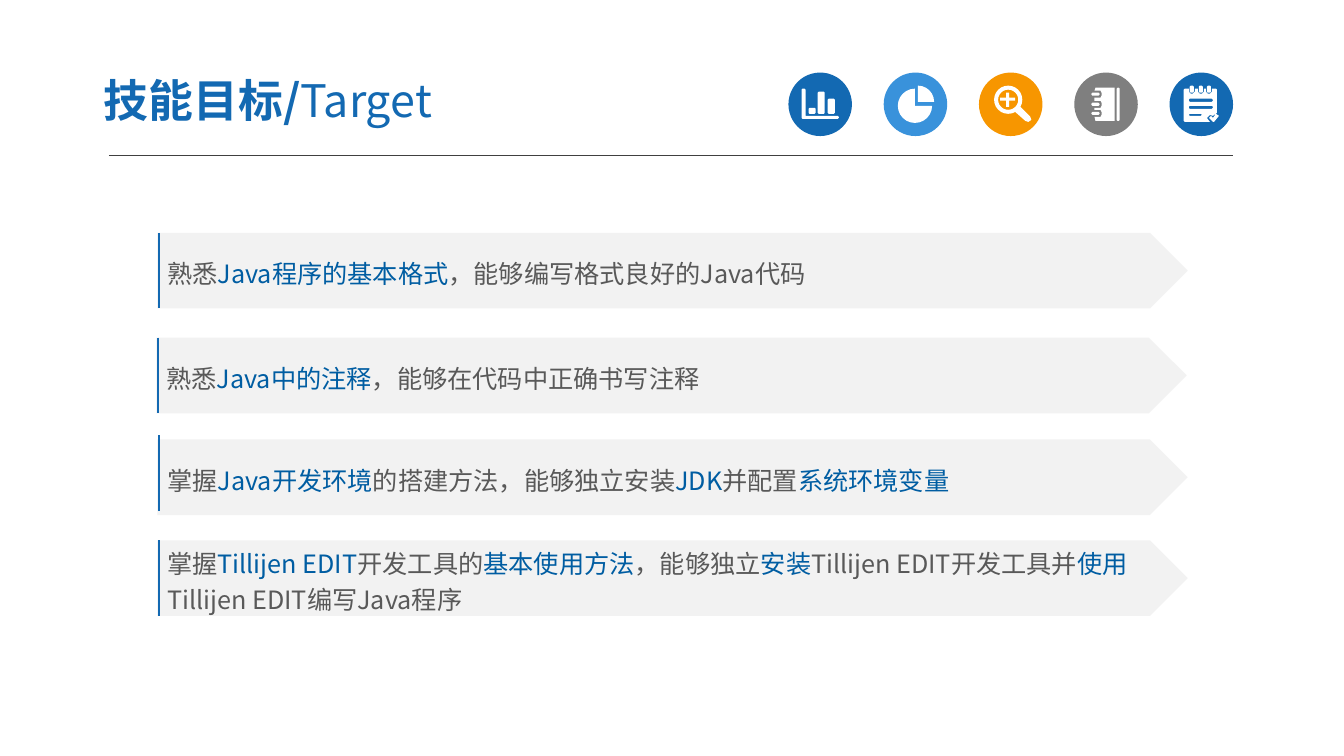
import dataclasses
import math

import lxml.etree
import pptx
import pptx.dml.color
import pptx.enum.shapes
import pptx.enum.text
import pptx.oxml.ns
import pptx.util

SHAPE = pptx.enum.shapes.MSO_SHAPE
ANCHOR = pptx.enum.text.MSO_ANCHOR
ALIGN = pptx.enum.text.PP_ALIGN


@dataclasses.dataclass(frozen=True)
class Theme:
    """Colours, font and type sizes of the slide."""
    blue: str = "1369B2"
    sky: str = "3992DB"
    orange: str = "F79600"
    grey: str = "7F7F7F"
    white: str = "FFFFFF"
    rule: str = "404040"
    plate: str = "F2F2F2"
    body: str = "595959"
    accent: str = "005DA2"
    font: str = "Noto Sans CJK SC"
    title_size: int = 32
    body_size: int = 18


THEME = Theme()
BADGE_SIZE = 63
PLATE_SIZE = (1022, 75)
GOALS = [
    ((156, 231), 0, ["熟悉", "*Java程序的基本格式", "，能够编写格式良好的Java代码"]),
    ((155, 335), 0, ["熟悉", "*Java中的注释", "，能够在代码中正确书写注释"]),
    ((156, 436), -4, ["掌握", "*Java开发环境", "的搭建方法，能够独立安装", "*JDK", "并配置",
                      "*系统环境变量"]),
    ((156, 536), 0, ["掌握", "*Tillijen EDIT", "开发工具的", "*基本使用方法", "，能够独立",
                     "*安装", "Tillijen EDIT开发工具并", "*使用", "Tillijen EDIT编写Java程序"]),
]


def px(length):
    """Turn px, at 100 to the inch, into EMU."""
    return pptx.util.Emu(round(length * 9144))


def rgb(colour):
    """Turn a hex string into a colour."""
    return pptx.dml.color.RGBColor.from_string(colour)


def paint(shape, colour):
    """Give a shape a flat fill without line or shadow."""
    shape.shadow.inherit = False
    shape.fill.solid()
    shape.fill.fore_color.rgb = rgb(colour)
    shape.line.fill.background()
    return shape


def draw(slide, preset, origin, size, colour):
    """Add a flat preset shape."""
    return paint(slide.shapes.add_shape(preset, *map(px, (*origin, *size))), colour)


def draw_line(slide, start, end, colour, weight):
    """Add a straight line without shadow."""
    line = slide.shapes.add_connector(
        pptx.enum.shapes.MSO_CONNECTOR.STRAIGHT, *map(px, (*start, *end)))
    line.line.color.rgb = rgb(colour)
    line.line.width = pptx.util.Pt(weight)
    properties = line._element.spPr
    lxml.etree.SubElement(properties, pptx.oxml.ns.qn("a:effectLst"))


def write(paragraph, text, size, colour, bold=False):
    """Add one run in the theme font, for Latin and Chinese letters."""
    run = paragraph.add_run()
    run.text = text
    run.font.size = pptx.util.Pt(size)
    run.font.bold = bold
    run.font.color.rgb = rgb(colour)
    run.font.name = THEME.font
    east_asian = lxml.etree.SubElement(
        run._r.get_or_add_rPr(), pptx.oxml.ns.qn("a:ea"))
    east_asian.set("typeface", THEME.font)


def bar(left, top, width, height):
    """Outline a box with its corners cut by one px."""
    right, bottom = left + width, top + height
    return [(left + 1, top), (right - 1, top), (right, top + 1), (right, bottom - 1),
            (right - 1, bottom), (left + 1, bottom), (left, bottom - 1), (left, top + 1)]


def arc(x, y, radius, start, end):
    """Follow a circle clockwise between two angles in steps of 15 degrees."""
    return [(x + radius * math.cos(math.radians(angle)),
             y + radius * math.sin(math.radians(angle)))
            for angle in range(start, end + 1, 15)]


def bars_icon():
    """Outline a bar chart with its axes."""
    axes = [(13, 17), (14, 16), (16, 16), (17, 17), (17, 43), (49, 43), (50, 44),
            (50, 45), (49, 46), (14, 46), (13, 45)]
    return [axes, bar(20, 35, 7, 6), bar(29, 19, 7, 22), bar(39, 26, 7, 15)]


def pie_icon():
    """Outline a pie with one quarter moved out."""
    return [[(31, 33), *arc(31, 33, 17, 0, 270)], [(34, 29), *arc(34, 29, 16, 270, 360)]]


def magnifier_icon():
    """Outline a magnifying glass with a plus sign."""
    glass = [*arc(29, 27, 14, 60, 390), (51, 44), (52, 47), (49, 49), (46, 48)]
    plus = [(27, 20), (30, 20), (30, 25), (36, 25), (36, 28), (30, 28),
            (30, 34), (27, 34), (27, 28), (21, 28), (21, 25), (27, 25)]
    return [glass, arc(29, 27, 10, 0, 345), plus]


def notebook_icon():
    """Outline a notebook bound by three rings."""
    cover, rings = [(21, 15), (40, 15), (40, 48), (21, 48)], []
    for top in (37, 28, 18):
        cover += [(20, top + 7), (26, top + 7), (27, top + 5),
                  (27, top + 2), (26, top), (20, top)]
        rings.append(bar(17, top + 2, 8, 3))
    return [cover, bar(42, 15, 3, 33), *rings]


def notepad_icon():
    """Outline a notepad with three rings, three lines and a tick."""
    page, rings = [(14, 17), (15, 16)], []
    for left in (20, 29, 37):
        page += [(left - 1, 16), (left - 1, 19), (left + 1, 21),
                 (left + 3, 21), (left + 5, 19), (left + 5, 16)]
        rings.append(bar(left, 13, 4, 7))
    page += [(46, 16), (47, 17), (47, 40), (43, 43), (40, 42), (37, 45),
             (40, 49), (15, 49), (14, 48)]
    tick = [(39, 45), (41, 43), (43, 45), (46, 41), (49, 43), (44, 49), (43, 49)]
    return [page, *rings, bar(19, 26, 24, 3), bar(19, 33, 24, 3), bar(19, 41, 13, 2), tick]


def add_badge(slide, origin, ground, outlines):
    """Draw one round badge with its white icon."""
    draw(slide, SHAPE.OVAL, origin, (BADGE_SIZE, BADGE_SIZE), ground)
    contours = [[(px(origin[0] + x), px(origin[1] + y)) for x, y in outline]
                for outline in outlines]
    builder = slide.shapes.build_freeform(*contours[0][0])
    for contour in contours:
        if contour is not contours[0]:
            builder.move_to(*contour[0])
        builder.add_line_segments(contour[1:], close=True)
    paint(builder.convert_to_shape(), THEME.white)


def add_badges(slide, left, top, right):
    """Spread the round icon badges evenly from left to right."""
    badges = [(bars_icon, THEME.blue), (pie_icon, THEME.sky),
              (magnifier_icon, THEME.orange), (notebook_icon, THEME.grey),
              (notepad_icon, THEME.blue)]
    span = right - BADGE_SIZE - left
    for index, (icon, ground) in enumerate(badges):
        origin = (left + span * index / (len(badges) - 1), top)
        add_badge(slide, origin, ground, icon())


def add_title(slide, left, top, width, height):
    """Write the two-part heading."""
    heading = slide.shapes.add_textbox(*map(px, (left, top, width, height)))
    frame = heading.text_frame
    frame.word_wrap = True
    frame.vertical_anchor = ANCHOR.MIDDLE
    frame.margin_left = frame.margin_right = px(13)
    frame.margin_top = frame.margin_bottom = px(7)
    write(frame.paragraphs[0], "技能目标/", THEME.title_size, THEME.blue, bold=True)
    write(frame.paragraphs[0], "Target", THEME.title_size, THEME.blue)


def add_goal(slide, origin, edge_shift, phrases):
    """Draw one goal arrow with its left edge; starred phrases are accented."""
    plate = draw(slide, SHAPE.PENTAGON, origin, PLATE_SIZE, THEME.plate)
    frame = plate.text_frame
    frame.word_wrap = True
    frame.vertical_anchor = ANCHOR.MIDDLE
    goal = frame.paragraphs[0]
    goal.alignment = ALIGN.LEFT
    goal.line_spacing = 1.2
    for phrase in phrases:
        colour = THEME.accent if phrase.startswith("*") else THEME.body
        write(goal, phrase.lstrip("*"), THEME.body_size, colour)
    left, top = origin[0] + 2, origin[1] + edge_shift
    draw_line(slide, (left, top), (left, top + PLATE_SIZE[1]), THEME.blue, 1.5)


def main():
    """Build and save the slide."""
    deck = pptx.Presentation()
    deck.slide_width, deck.slide_height = px(1333), px(750)
    slide = deck.slides.add_slide(deck.slide_layouts[6])
    draw_line(slide, (108, 154), (1223, 154), THEME.rule, 0.75)
    add_badges(slide, 782, 72, 1223)
    add_title(slide, 90, 63, 522, 72)
    for origin, edge_shift, phrases in GOALS:
        add_goal(slide, origin, edge_shift, phrases)
    deck.save("out.pptx")


if __name__ == "__main__":
    main()
